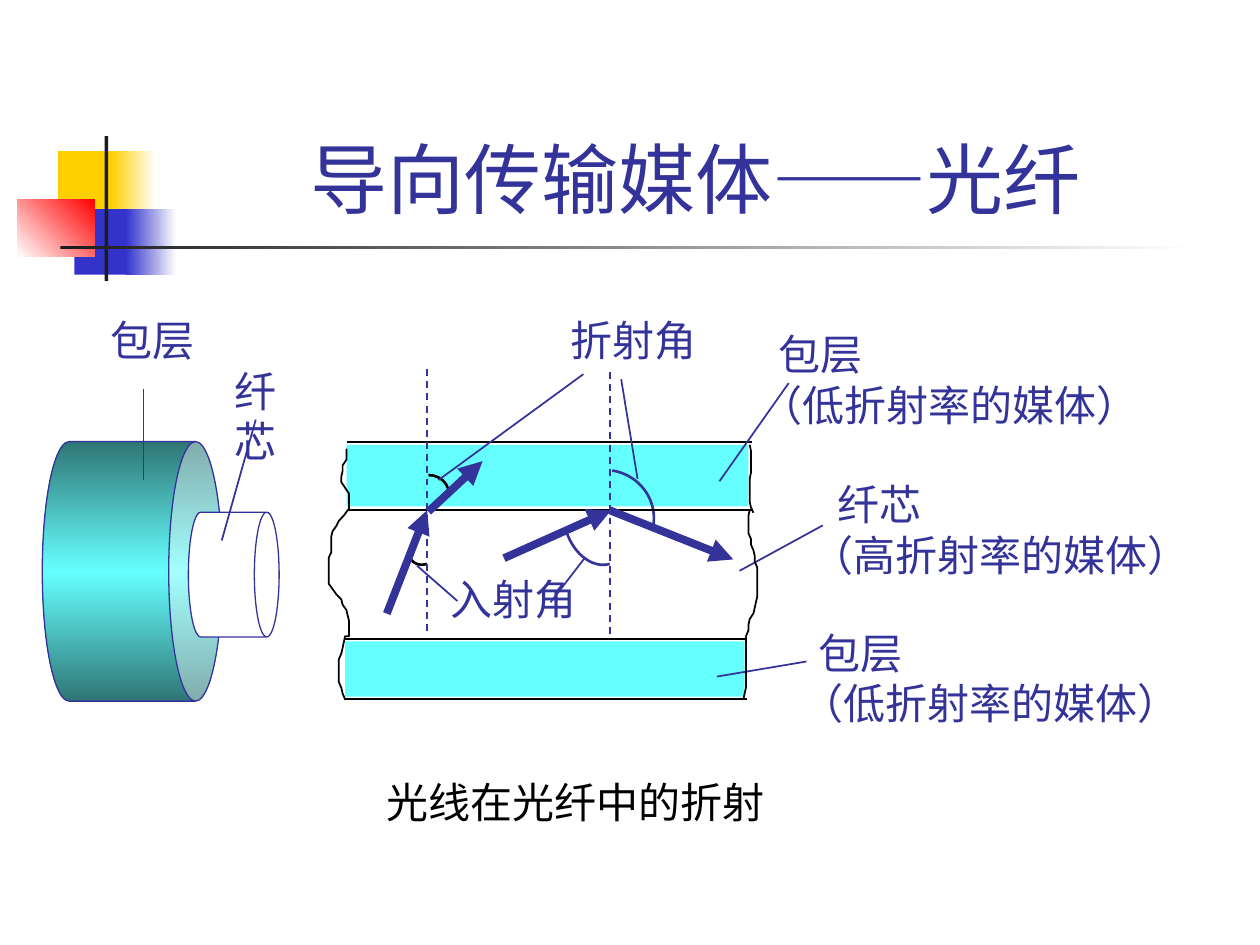
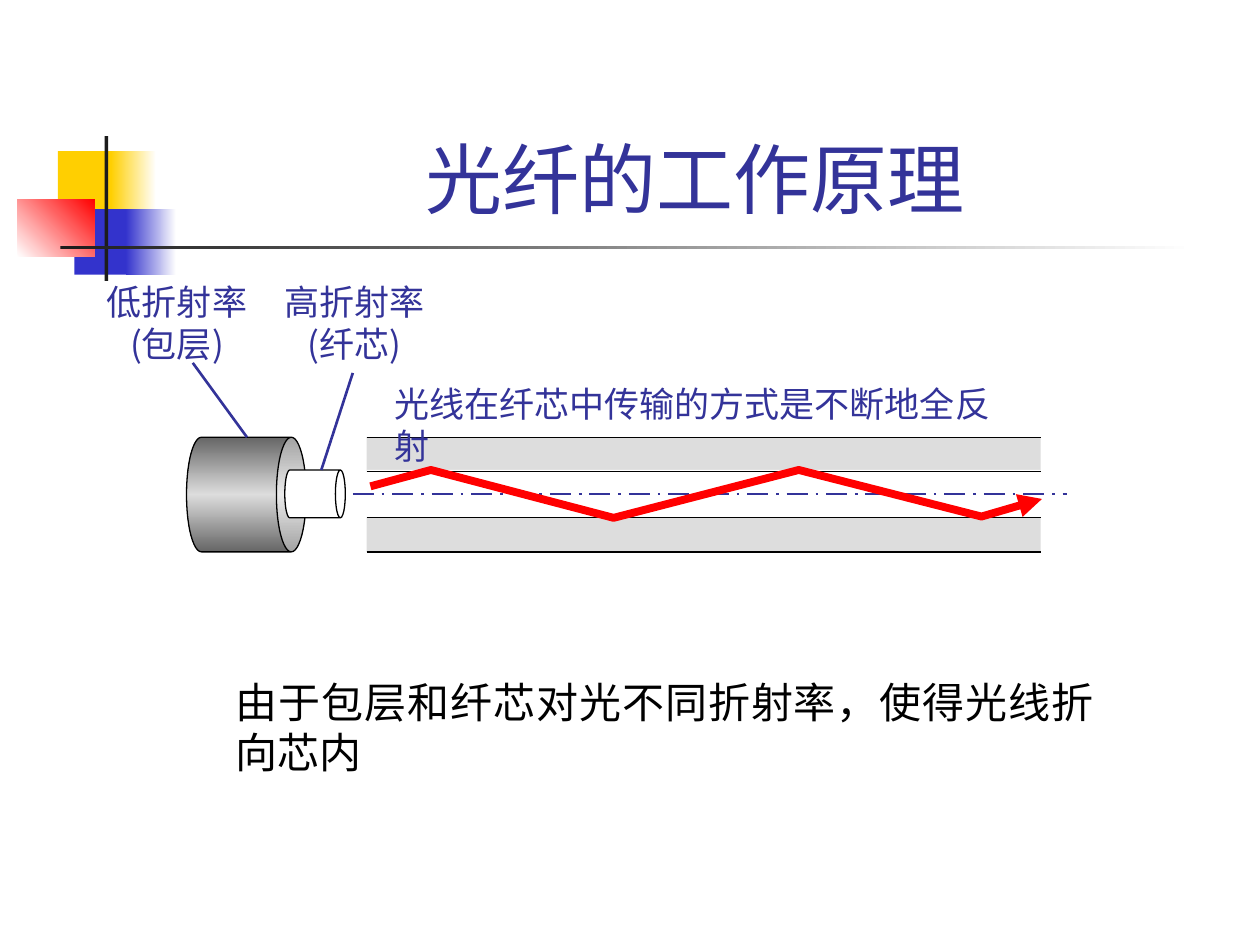
import copy

import pptx
import pptx.util
from lxml import etree
from pptx.dml.color import RGBColor
from pptx.enum.dml import MSO_LINE
from pptx.enum.shapes import MSO_CONNECTOR, MSO_SHAPE
from pptx.enum.text import MSO_ANCHOR, PP_ALIGN
from pptx.oxml.ns import qn
from pptx.util import Inches

NAVY = RGBColor(0x33, 0x33, 0x99)
BLUE = RGBColor(0x33, 0x33, 0xCC)
YELLOW = RGBColor(0xFF, 0xCF, 0x01)
RED = RGBColor(0xFF, 0x00, 0x00)
CYAN = RGBColor(0x66, 0xFF, 0xFF)
TEAL = RGBColor(0x2F, 0x76, 0x76)
WHITE = RGBColor(0xFF, 0xFF, 0xFF)
BLACK = RGBColor(0x00, 0x00, 0x00)
CHARCOAL = RGBColor(0x1C, 0x1C, 0x1C)
LIGHT_GRAY = RGBColor(0xDD, 0xDD, 0xDD)
DARK_GRAY = RGBColor(0x66, 0x66, 0x66)

LATIN = "Arial"
CHINESE = "Noto Sans CJK SC"
CAPTION = "Cabin"
LEFT, CENTER, JUSTIFY = PP_ALIGN.LEFT, PP_ALIGN.CENTER, PP_ALIGN.JUSTIFY
DASH, DASH_DOT = MSO_LINE.DASH, MSO_LINE.LONG_DASH_DOT


def fill_shape(shape, colours, angle=0):
    shape.shadow.inherit = False
    if not colours:
        shape.fill.background()
    elif len(colours) == 1:
        shape.fill.solid()
        shape.fill.fore_color.rgb = colours[0]
    else:
        shape.fill.gradient()
        shape.fill.gradient_angle = angle
        stop_list = shape.element.spPr.find(".//" + qn("a:gsLst"))
        while len(stop_list) < len(colours):
            stop_list.append(copy.deepcopy(stop_list[0]))
        for index, stop in enumerate(shape.fill.gradient_stops):
            stop.position = index / (len(colours) - 1)
            stop.color.rgb = colours[index]


def draw_outline(shape, colour, width, dash=None, arrow=False):
    shape.line.color.rgb = colour
    shape.line.width = pptx.util.Pt(width)
    if dash:
        shape.line.dash_style = dash
    if arrow:
        outline = shape.element.spPr.find(qn("a:ln"))
        etree.SubElement(outline, qn("a:tailEnd"), type="triangle")


frame_blocks = [
    (0.46, 1.2, 0.48, 0.52, [YELLOW], 0),
    (0.88, 1.2, 0.36, 0.52, [YELLOW, WHITE], 0),
    (0.59, 1.66, 0.46, 0.52, [BLUE], 0),
    (1, 1.66, 0.4, 0.52, [BLUE, WHITE], 0),
    (0.14, 1.58, 0.61, 0.46, [WHITE, RED], 45),
    (0.83, 1.08, 0.03, 1.15, [CHARCOAL], 0),
    (0.48, 1.95, 9, 0.03, [CHARCOAL, WHITE], 0),
]

left_edge = [
    (3.56, 4.05, [2.75] * 3 + [2.72] * 2 + [2.71] * 2 + [2.74] + [2.77] * 4),
    (4.05, 5.05, [2.76, 2.73, 2.69, 2.67, 2.64] + [2.63] * 4 + [2.61] * 6
     + [2.64, 2.67, 2.71, 2.72, 2.75, 2.76] + [2.77] * 4),
    (5.05, 5.55, [2.74, 2.73, 2.72, 2.71] + [2.69] * 5 + [2.71, 2.72, 2.74]),
]
right_upper_edge = [(3.53, 4.07, [5.95] + [5.96] * 5 + [5.95] * 5 + [5.96, 5.98])]
right_core_edge = [
    (4.05, 5.05, [5.95] + [5.94] * 4 + [5.96] * 2 + [5.98, 5.99, 5.99] + [6.01] * 6
     + [6, 5.99, 5.98, 5.95, 5.94, 5.94, 5.92]),
]
right_lower_edge = [(5.05, 5.55, [5.92] * 10 + [5.91, 5.9])]
fiber_edges = [
    [(x, top + (bottom - top) * index / (len(xs) - 1))
     for top, bottom, xs in segments for index, x in enumerate(xs)]
    for segments in (left_edge, right_upper_edge, right_core_edge, right_lower_edge)
]

refraction = {
    "title": "导向传输媒体——光纤",
    "bands": [(2.75, 3.53, 3.19, 0.49, CYAN), (2.74, 5.09, 3.17, 0.44, CYAN)],
    "cylinders": [
        (0.02, 3.82, 2.06, 1.43, 0.298, [TEAL, CYAN, TEAL], NAVY),
        (1.36, 4.2, 0.99, 0.72, 0.273, [WHITE], NAVY),
    ],
    "arcs": [
        (3.36, 4.39, 0.11, 0.09, 162, BLACK),
        (3.4, 3.91, 0.16, 0.14, 0, BLACK),
        (4.74, 4.13, 0.26, 0.36, 164, NAVY),
        (4.8, 4.11, 0.39, 0.38, 9, NAVY),
    ],
    "lines": [
        (2.75, 3.51, 5.97, 3.51, BLACK, 1, None, False),
        (2.75, 4.05, 5.97, 4.05, BLACK, 1, None, False),
        (2.73, 5.07, 5.93, 5.07, BLACK, 1, None, False),
        (2.73, 5.55, 5.93, 5.55, BLACK, 1, None, False),
        (3.39, 2.93, 3.39, 5.05, NAVY, 1, DASH, False),
        (4.84, 2.95, 4.84, 5.07, NAVY, 1, DASH, False),
        (3.4, 4.06, 3.83, 3.66, NAVY, 4.5, None, True),
        (3.07, 4.87, 3.39, 4.05, NAVY, 4.5, None, True),
        (4, 4.43, 4.85, 4.05, NAVY, 4.5, None, True),
        (4.84, 4.05, 5.82, 4.44, NAVY, 4.5, None, True),
        (4.93, 3.01, 5.06, 3.8, NAVY, 1, None, False),
        (3.48, 3.81, 4.63, 2.97, NAVY, 1, None, False),
        (3.31, 4.49, 3.63, 4.77, NAVY, 1, None, False),
        (4.37, 4.78, 4.64, 4.43, NAVY, 1, None, False),
        (5.87, 4.53, 6.53, 4.17, NAVY, 1, None, False),
        (6.26, 3.04, 5.71, 3.82, NAVY, 1, None, False),
        (6.4, 5.25, 5.69, 5.37, NAVY, 1, None, False),
        (1.14, 3.09, 1.14, 3.81, NAVY, 1, None, False),
        (2.03, 3.33, 1.76, 4.29, NAVY, 1, None, False),
    ],
    "outlines": [(points, BLACK, 1, False) for points in fiber_edges],
    "texts": [
        (4.43, 2.45, 1.2, 0.5, ["折射角"], 24, LATIN, NAVY, LEFT, False, 0),
        (3.48, 4.5, 1.2, 0.5, ["入射角"], 24, LATIN, NAVY, LEFT, False, 0),
        (5.94, 2.56, 3.2, 0.9, ["包层", "（低折射率的媒体）"], 24, LATIN, NAVY, LEFT, False, 0.14),
        (6.26, 4.93, 3.2, 0.9, ["包层", "（低折射率的媒体）"], 24, LATIN, NAVY, LEFT, False, 0.14),
        (6.34, 3.75, 3.48, 0.9, ["纤芯", "（高折射率的媒体）"], 24, LATIN, NAVY, LEFT, True, 0.21),
        (0.78, 2.45, 0.87, 0.5, ["包层"], 24, LATIN, NAVY, LEFT, False, 0),
        (1.76, 2.85, 0.76, 0.9, ["纤芯"], 24, LATIN, NAVY, LEFT, True, 0),
        (2.01, 6.11, 5.12, 0.5, ["光线在光纤中的折射"], 24, CAPTION, BLACK, CENTER, True, 0),
    ],
}

light_ray = [(2.94, 3.86), (3.42, 3.73), (4.87, 4.11), (6.34, 3.73), (7.79, 4.1), (8.27, 3.96)]
principle = {
    "title": "光纤的工作原理",
    "bands": [
        (2.91, 3.47, 5.35, 0.27, LIGHT_GRAY),
        (2.91, 3.73, 5.35, 0.38, WHITE),
        (2.91, 4.11, 5.35, 0.27, LIGHT_GRAY),
    ],
    "cylinders": [
        (1.5, 3.45, 0.91, 0.95, 0.26, [DARK_GRAY, LIGHT_GRAY, DARK_GRAY], BLACK),
        (2.31, 3.68, 0.38, 0.48, 0.207, [WHITE], BLACK),
    ],
    "arcs": [],
    "lines": [(2.91, y, 8.26, y, BLACK, 0.75, None, False) for y in (3.47, 3.74, 4.11, 4.38)] + [
        (2.8, 3.92, 8.47, 3.92, NAVY, 1.5, DASH_DOT, False),
        (2.8, 2.96, 2.55, 3.73, NAVY, 1.5, None, False),
        (1.53, 2.88, 1.96, 3.47, NAVY, 1.5, None, False),
    ],
    "outlines": [(light_ray, RED, 4.5, True)],
    "texts": [
        (2.16, 2.18, 1.31, 0.77, ["高折射率", "(纤芯)"], 20, CHINESE, NAVY, CENTER, False, 0),
        (0.75, 2.18, 1.31, 0.77, ["低折射率", "(包层)"], 20, CHINESE, NAVY, CENTER, False, 0),
        (3.03, 2.99, 5.1, 0.43, ["光线在纤芯中传输的方式是不断地全反射"],
         20, CHINESE, NAVY, LEFT, True, 0),
        (1.77, 5.32, 7.01, 0.91, ["由于包层和纤芯对光不同折射率，使得光线折向芯内"],
         24, CAPTION, BLACK, JUSTIFY, True, 0),
    ],
}

presentation = pptx.Presentation()
presentation.slide_width = Inches(10)
presentation.slide_height = Inches(7.5)

for content in (refraction, principle):
    slide = presentation.slides.add_slide(presentation.slide_layouts[6])
    shapes = slide.shapes

    bands = [(*band[:4], [band[4]], 0) for band in content["bands"]]
    for left, top, width, height, colours, angle in frame_blocks + bands:
        block = shapes.add_shape(
            MSO_SHAPE.RECTANGLE, Inches(left), Inches(top), Inches(width), Inches(height))
        fill_shape(block, colours, angle)
        block.line.fill.background()

    for left, top, width, height, rim, colours, line_colour in content["cylinders"]:
        cylinder = shapes.add_shape(
            MSO_SHAPE.CAN, Inches(left), Inches(top), Inches(width), Inches(height))
        cylinder.rotation = 90
        cylinder.adjustments[0] = rim
        fill_shape(cylinder, colours)
        draw_outline(cylinder, line_colour, 0.75)

    for center_x, center_y, radius_x, radius_y, rotation, colour in content["arcs"]:
        arc = shapes.add_shape(
            MSO_SHAPE.ARC, Inches(center_x - radius_x), Inches(center_y - radius_y),
            Inches(2 * radius_x), Inches(2 * radius_y))
        arc.rotation = rotation
        fill_shape(arc, [])
        draw_outline(arc, colour, 1.5)

    for start_x, start_y, end_x, end_y, colour, width, dash, arrow in content["lines"]:
        connector = shapes.add_connector(
            MSO_CONNECTOR.STRAIGHT, Inches(start_x), Inches(start_y), Inches(end_x), Inches(end_y))
        draw_outline(connector, colour, width, dash, arrow)
        etree.SubElement(connector.element.spPr, qn("a:effectLst"))

    for points, colour, width, arrow in content["outlines"]:
        corners = [(Inches(x), Inches(y)) for x, y in points]
        builder = shapes.build_freeform(*corners[0])
        builder.add_line_segments(corners[1:], close=False)
        outline_shape = builder.convert_to_shape()
        fill_shape(outline_shape, [])
        draw_outline(outline_shape, colour, width, arrow=arrow)

    title = (1.26, 0.23, 8.52, 1.6, [content["title"]], 44, LATIN, NAVY, CENTER, True, 0)
    for entry in [title] + content["texts"]:
        left, top, width, height, lines, size, font_name, colour, alignment, wrap, indent = entry
        text_box = shapes.add_textbox(Inches(left), Inches(top), Inches(width), Inches(height))
        text_frame = text_box.text_frame
        text_frame.word_wrap = wrap
        text_frame.vertical_anchor = MSO_ANCHOR.BOTTOM if entry is title else MSO_ANCHOR.TOP
        text_frame.text = "\n".join(lines)
        if indent:
            properties = text_frame.paragraphs[0]._p.get_or_add_pPr()
            properties.set("marL", str(Inches(indent)))
        for paragraph in text_frame.paragraphs:
            paragraph.alignment = alignment
            paragraph.font.size = pptx.util.Pt(size)
            paragraph.font.name = font_name
            paragraph.font.color.rgb = colour

presentation.save("out.pptx")
